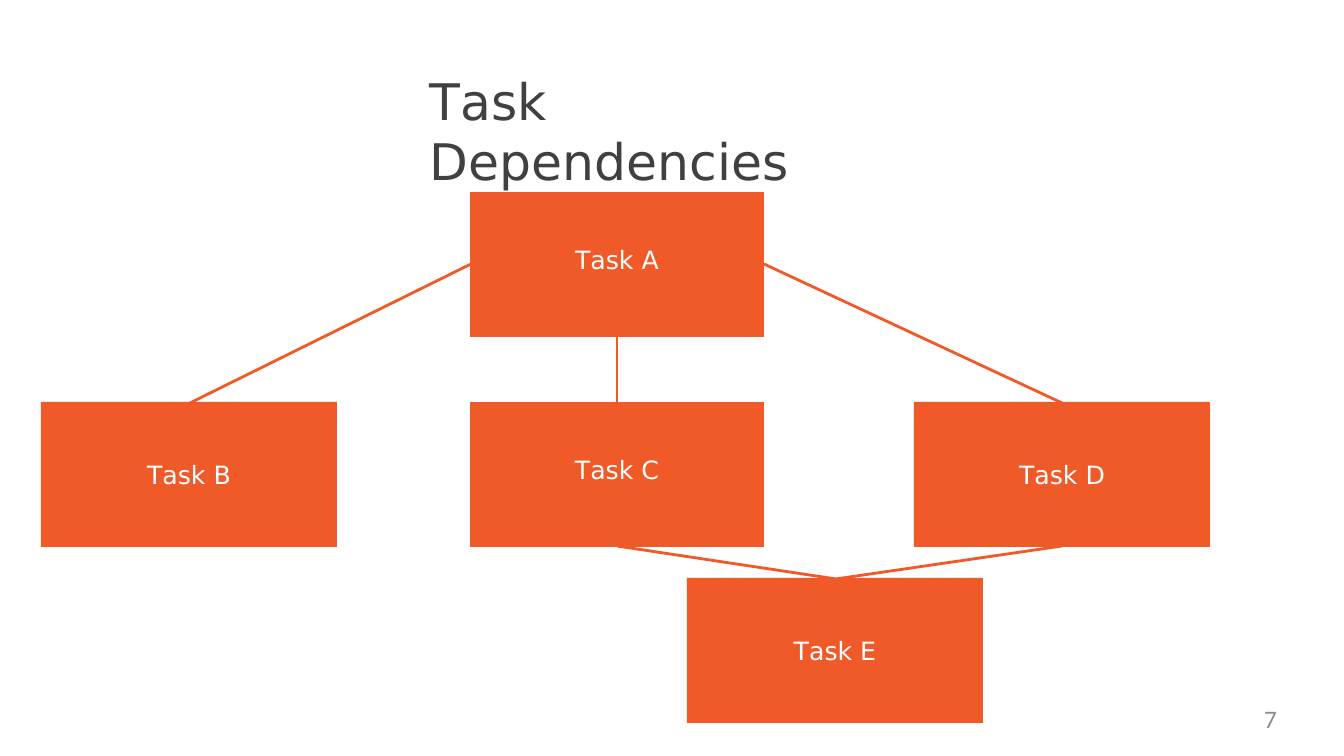
"""Build the task dependency slide."""
from dataclasses import dataclass
from typing import Any

from lxml import etree
from pptx import Presentation, util as u
from pptx.dml.color import RGBColor
from pptx.enum import shapes, text
from pptx.oxml import ns

SCALE = 914400 / 100.8
COLOURS = {"task": "F05A28", "title": "404040", "label": "FFFFFF", "number": "8C8C8C"}
NO_STYLE = "{2D5ABB26-0587-4C30-8999-92F81FD0307C}"
NO_MARGINS = {"margin_left": 0, "margin_right": 0, "margin_top": 0, "margin_bottom": 0}
TASK_WIDTH, TASK_HEIGHT = 296, 145
TABLE_COLUMN, TABLE_ROWS = 147, (145, 65, 145)


@dataclass(frozen=True)
class Style:
    font: str
    size: int
    colour: str
    align: Any
    tighten: float = 0


@dataclass(frozen=True)
class Task:
    name: str
    left: int
    top: int


@dataclass(frozen=True)
class Link:
    start: tuple[int, int]
    end: tuple[int, int]


@dataclass(frozen=True)
class Caption:
    words: str
    area: tuple[int, int, int, int]
    style: Style


ALIGN = text.PP_ALIGN
LABEL = Style("DejaVu Sans", 18, "label", ALIGN.CENTER, -1.6)
TITLE = Caption("Task Dependencies", (430, 70, 478, 63),
                Style("DejaVu Sans", 36, "title", ALIGN.LEFT, -4.8))
NUMBER = Caption("7", (968, 703, 309, 38), Style("Calibri", 18, "number", ALIGN.RIGHT))
TASKS = (Task("Task B", 41, 402), Task("Task D", 914, 402), Task("Task E", 687, 578))
TABLE_TASKS = {0: "Task A", 2: "Task C"}
LINKS = (Link((471, 264), (190, 403)), Link((764, 264), (1062, 403)),
         Link((617, 546), (836, 579)), Link((1062, 546), (836, 579)))


def px(value: float) -> u.Emu:
    """Turn pixels into EMU."""
    return u.Emu(round(value * SCALE))


def rgb(name: str) -> RGBColor:
    """Look up a named colour."""
    return RGBColor.from_string(COLOURS[name])


def apply(target: Any, values: dict[str, Any]) -> None:
    """Set every attribute named in the format values."""
    for name, value in values.items():
        setattr(target, name, value)


def paint(target: Any) -> None:
    """Fill a shape or cell with the task colour."""
    target.fill.solid()
    target.fill.fore_color.rgb = rgb("task")


def write(frame: Any, words: str, style: Style) -> None:
    """Write one line, tightening the gap after its first letter."""
    para = frame.paragraphs[0]
    para.alignment = style.align
    parts = ((words[:1], style.tighten), (words[1:], 0))
    for part, spacing in parts:
        if not part:
            continue
        span = para.add_run()
        span.text = part
        apply(span.font, {"name": style.font, "size": u.Pt(style.size)})
        span.font.color.rgb = rgb(style.colour)
        if spacing:
            span.font._element.set("spc", str(round(spacing * 100)))


def add_caption(page: Any, caption: Caption) -> None:
    """Add a plain text box."""
    box = page.shapes.add_textbox(*map(px, caption.area))
    apply(box.text_frame, NO_MARGINS | {"word_wrap": True})
    write(box.text_frame, caption.words, caption.style)


def add_task(page: Any, task: Task) -> None:
    """Add a task rectangle with its name."""
    area = (task.left, task.top, TASK_WIDTH, TASK_HEIGHT)
    box = page.shapes.add_shape(shapes.MSO_SHAPE.RECTANGLE, *map(px, area))
    box.shadow.inherit = False
    paint(box)
    box.line.fill.background()
    apply(box.text_frame, NO_MARGINS | {
        "word_wrap": True, "vertical_anchor": text.MSO_ANCHOR.MIDDLE})
    write(box.text_frame, task.name, LABEL)


def add_border(cell: Any, side: str) -> None:
    """Draw one cell border in the task colour."""
    border = etree.SubElement(cell._tc.get_or_add_tcPr(), ns.qn(f"a:{side}"),
                              w=str(u.Pt(2.25)))
    fill = etree.SubElement(border, ns.qn("a:solidFill"))
    etree.SubElement(fill, ns.qn("a:srgbClr"), val=COLOURS["task"])


def add_task_table(page: Any) -> None:
    """Add the table that joins tasks A and C."""
    area = (470, 192, 2 * TABLE_COLUMN, sum(TABLE_ROWS))
    table = page.shapes.add_table(len(TABLE_ROWS), 2, *map(px, area)).table
    apply(table, {"first_row": False, "horz_banding": False})
    table._tbl.tblPr.find(ns.qn("a:tableStyleId")).text = NO_STYLE
    for column in table.columns:
        column.width = px(TABLE_COLUMN)
    for row, height in zip(table.rows, TABLE_ROWS):
        row.height = px(height)
    for index, name in TABLE_TASKS.items():
        cell = table.cell(index, 0)
        cell.merge(table.cell(index, 1))
        paint(cell)
        apply(cell, NO_MARGINS | {
            "margin_bottom": px(7), "vertical_anchor": text.MSO_ANCHOR.MIDDLE})
        write(cell.text_frame, name, LABEL)
    for column, side in enumerate(("lnR", "lnL")):
        add_border(table.cell(1, column), side)


def add_link(page: Any, link: Link) -> None:
    """Add a straight line between two tasks."""
    line = page.shapes.add_connector(
        shapes.MSO_CONNECTOR.STRAIGHT, *map(px, link.start + link.end))
    line.line.width = u.Pt(2)
    line.line.color.rgb = rgb("task")
    etree.SubElement(line._element.spPr, ns.qn("a:effectLst"))


def main() -> None:
    """Build and save the deck."""
    deck = Presentation()
    apply(deck, {"slide_width": px(1344), "slide_height": px(756)})
    page = deck.slides.add_slide(deck.slide_layouts[6])
    add_caption(page, TITLE)
    add_task_table(page)
    for task in TASKS:
        add_task(page, task)
    for link in LINKS:
        add_link(page, link)
    add_caption(page, NUMBER)
    deck.save("out.pptx")


main()
